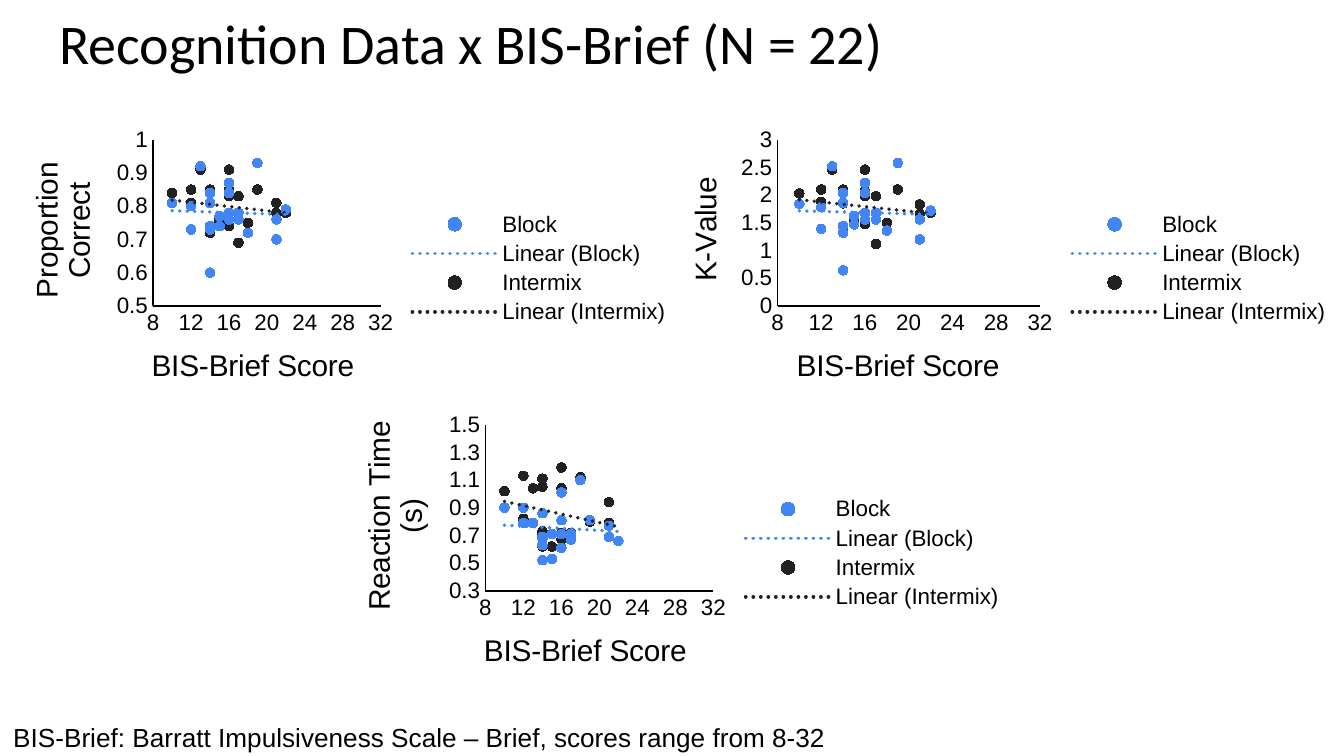
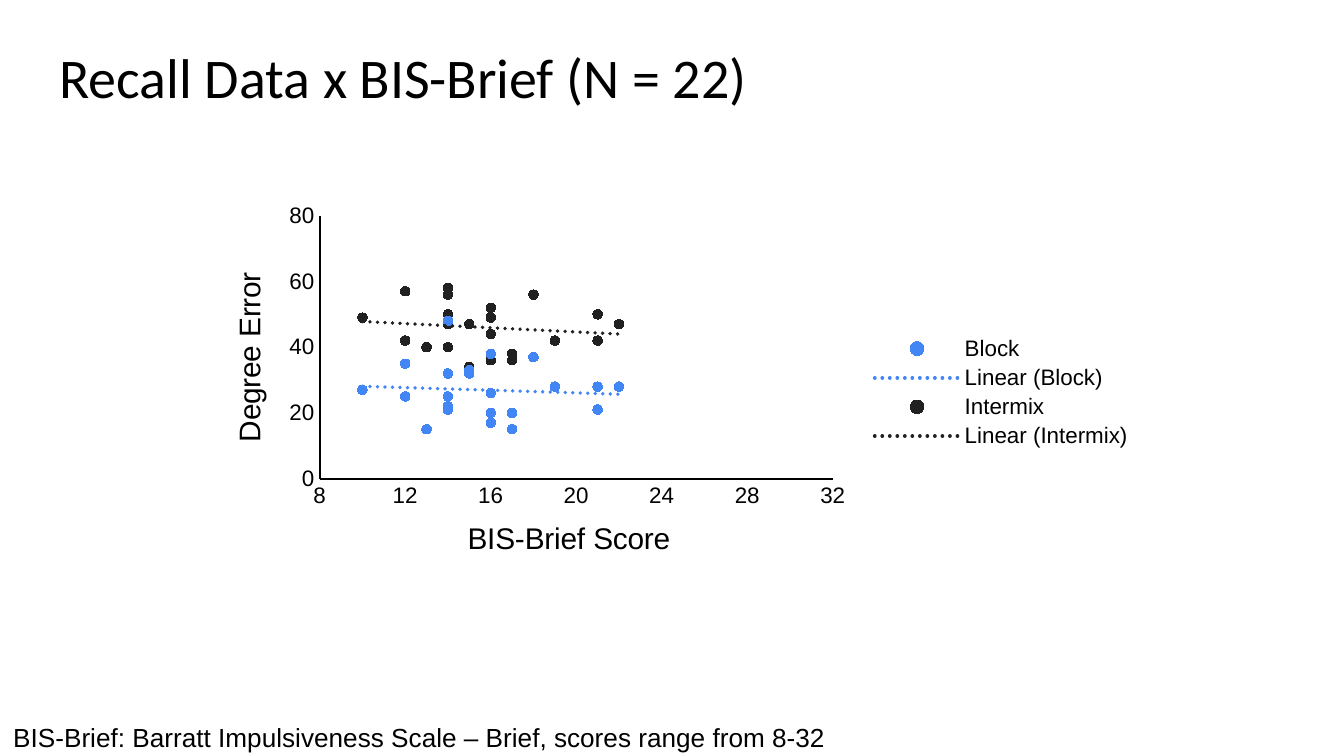
from lxml.etree import SubElement
from pptx import Presentation
from pptx.chart.data import XyChartData
from pptx.dml.color import RGBColor
from pptx.enum.chart import XL_CHART_TYPE, XL_LEGEND_POSITION, XL_MARKER_STYLE, XL_TICK_MARK
from pptx.enum.text import MSO_ANCHOR, MSO_AUTO_SIZE, PP_ALIGN
from pptx.oxml import parse_xml
from pptx.oxml.ns import nsdecls, qn
from pptx.util import Inches, Pt

COLORS = {"text": "000000", "Block": "4285F4", "Intermix": "212121"}
BODY_FONT = "Arial"
TITLE_FONT = "Calibri"
NOTE = "BIS-Brief: Barratt Impulsiveness Scale – Brief, scores range from 8-32"
SCORES = [16, 21, 22, 21, 16, 14, 18, 10, 19, 15, 12,
          17, 16, 14, 15, 14, 14, 14, 12, 13, 16, 17]

PROPORTION = {
    "Block": [0.84, 0.7, 0.79, 0.76, 0.87, 0.74, 0.72, 0.81, 0.93, 0.77, 0.8,
              0.78, 0.78, 0.73, 0.74, 0.81, 0.84, 0.6, 0.73, 0.92, 0.76, 0.76],
    "Intermix": [0.85, 0.78, 0.78, 0.81, 0.91, 0.74, 0.75, 0.84, 0.85, 0.75, 0.85,
                 0.83, 0.83, 0.74, 0.76, 0.85, 0.81, 0.72, 0.81, 0.91, 0.74, 0.69],
}
K_VALUE = {
    "Block": [2.04, 1.2, 1.72, 1.56, 2.22, 1.44, 1.36, 1.84, 2.58, 1.62, 1.78,
              1.68, 1.68, 1.32, 1.47, 1.86, 2.04, 0.64, 1.39, 2.52, 1.56, 1.56],
    "Intermix": [2.07, 1.66, 1.68, 1.83, 2.46, 1.44, 1.5, 2.03, 2.1, 1.5, 2.1,
                 1.98, 1.98, 1.44, 1.56, 2.1, 1.85, 1.33, 1.88, 2.46, 1.48, 1.12],
}
REACTION = {
    "Block": [1.01, 0.77, 0.66, 0.69, 0.61, 0.69, 1.1, 0.9, 0.81, 0.53, 0.79,
              0.71, 0.71, 0.86, 0.71, 0.63, 0.52, 0.68, 0.9, 0.79, 0.81, 0.67],
    "Intermix": [1.19, 0.94, 0.66, 0.79, 0.72, 0.71, 1.12, 1.02, 0.8, 0.62, 0.82,
                 0.67, 0.67, 1.05, 0.71, 0.73, 0.62, 1.11, 1.13, 1.04, 1.04, 0.72],
}
DEGREE_ERROR = {
    "Block": [26, 21, 28, 28, 17, 22, 37, 27, 28, 33, 25,
              20, 20, 32, 32, 21, 25, 48, 35, 15, 38, 15],
    "Intermix": [49, 50, 47, 42, 44, 40, 56, 49, 42, 34, 42,
                 36, 36, 58, 47, 50, 47, 56, 57, 40, 52, 38],
}


def rgb(name):
    return RGBColor.from_string(COLORS[name])


def set_font(font, size, face=BODY_FONT):
    font.size = Pt(size)
    font.name = face
    font.bold = False
    font.color.rgb = rgb("text")


def add_run(p, text, size, face=BODY_FONT):
    r = p.add_run()
    r.text = text
    set_font(r.font, size, face)


def add_title(s, text, box):
    sp = s.shapes.title
    sp.left, sp.top, sp.width, sp.height = [Inches(v) for v in box]
    tf = sp.text_frame
    tf.word_wrap = True
    tf.auto_size = MSO_AUTO_SIZE.NONE
    tf.vertical_anchor = MSO_ANCHOR.TOP
    tf.margin_left = tf.margin_right = tf.margin_top = tf.margin_bottom = Inches(0.1)
    p = tf.paragraphs[0]
    p.alignment = PP_ALIGN.LEFT
    add_run(p, text, 30, TITLE_FONT)


def add_note(s, box):
    tf = s.shapes.add_textbox(*[Inches(v) for v in box]).text_frame
    tf.word_wrap = False
    tf.auto_size = MSO_AUTO_SIZE.SHAPE_TO_FIT_TEXT
    add_run(tf.paragraphs[0], NOTE, 14)


def set_layout(el, index, values, inner=False):
    old = el.find(qn("c:layout"))
    if old is not None:
        el.remove(old)
    layout = parse_xml(f"<c:layout {nsdecls('c')}><c:manualLayout/></c:layout>")
    settings = [("layoutTarget", "inner")] if inner else []
    settings += [("xMode", "edge"), ("yMode", "edge")]
    settings += zip("xywh", values)
    for tag, value in settings:
        SubElement(layout[0], qn(f"c:{tag}")).set("val", str(value))
    el.insert(index, layout)


def style_axis(axis, title, scale, title_at):
    axis.minimum_scale, axis.maximum_scale, axis.major_unit = scale
    axis.has_major_gridlines = False
    axis.major_tick_mark = axis.minor_tick_mark = XL_TICK_MARK.NONE
    set_font(axis.tick_labels.font, 12)
    axis.tick_labels.number_format = "General"
    axis.tick_labels.number_format_is_linked = False
    axis.format.line.color.rgb = rgb("text")
    axis.format.line.width = Pt(1)
    add_run(axis.axis_title.text_frame.paragraphs[0], title, 16)
    set_layout(axis.axis_title._element, 1, title_at)


def add_trend(series):
    trend = parse_xml(
        f'<c:trendline {nsdecls("c", "a")}><c:spPr><a:ln w="{Pt(2)}" cap="rnd"><a:solidFill>'
        f'<a:srgbClr val="{COLORS[series.name]}"/></a:solidFill>'
        '<a:prstDash val="sysDot"/></a:ln></c:spPr><c:trendlineType val="linear"/>'
        '<c:dispRSqr val="0"/><c:dispEq val="0"/></c:trendline>')
    series._element.find(qn("c:xVal")).addprevious(trend)


def style_series(series):
    series.format.line.fill.background()
    marker = series.marker
    marker.style = XL_MARKER_STYLE.CIRCLE
    marker.size = 5
    marker.format.fill.solid()
    marker.format.fill.fore_color.rgb = rgb(series.name)
    marker.format.line.color.rgb = rgb(series.name)
    add_trend(series)


def add_legend(chart):
    chart.has_legend = True
    chart.legend.position = XL_LEGEND_POSITION.RIGHT
    chart.legend.include_in_layout = False
    set_font(chart.legend.font, 12)
    pos = chart.legend._element.find(qn("c:legendPos"))
    for idx in (3, 2):
        pos.addnext(parse_xml(
            f'<c:legendEntry {nsdecls("c")}><c:idx val="{idx}"/>'
            '<c:delete val="1"/></c:legendEntry>'))


def add_scatter(s, box, y_title, y_scale, data, plot, x_at, y_at):
    cd = XyChartData()
    for name, values in data.items():
        series = cd.add_series(name)
        for score, value in zip(SCORES, values):
            series.add_data_point(score, value)
    chart = s.shapes.add_chart(
        XL_CHART_TYPE.XY_SCATTER, *[Inches(v) for v in box], cd).chart
    chart.has_title = False
    set_font(chart.font, 10)
    chart.plots[0].vary_by_categories = False
    for series in chart.plots[0].series:
        series.smooth = False
        style_series(series)
    style_axis(chart.category_axis, "BIS-Brief Score", (8, 32, 4), x_at)
    style_axis(chart.value_axis, y_title, y_scale, y_at)
    body = chart.value_axis.axis_title._element.find(".//" + qn("a:bodyPr"))
    body.set("rot", "-5400000")
    body.set("vert", "horz")
    add_legend(chart)
    chart_el = chart._chartSpace.find(qn("c:chart"))
    set_layout(chart_el.find(qn("c:plotArea")), 0, plot, inner=True)
    chart_el.addnext(parse_xml(
        f'<c:spPr {nsdecls("c", "a")}><a:noFill/><a:ln><a:noFill/></a:ln></c:spPr>'))


def add_data_slide(prs, title, title_top, charts):
    s = prs.slides.add_slide(prs.slide_layouts[5])
    add_note(s, (0, 5.32, 6.31, 0.34))
    add_title(s, title, (0.34, title_top, 9.32, 0.63))
    for chart in charts:
        add_scatter(s, *chart)


def main():
    prs = Presentation()
    prs.slide_width = Inches(10)
    prs.slide_height = prs.slide_width * 9 // 16
    w, h = 5.14, 2.17
    narrow_plot, wide_plot = (0.23, 0.06, 0.33, 0.57), (0.18, 0.06, 0.38, 0.57)
    add_data_slide(prs, "Recognition Data x BIS-Brief (N = 22)", -0.04, [
        ((-0.04, 0.91, 5.13, h), "Proportion Correct", (0.5, 1, 0.1), PROPORTION,
         narrow_plot, (0.22, 0.75), (0.04, 0.12)),
        ((4.86, 0.91, w, h), "K-Value", (0, 3, 0.5), K_VALUE,
         wide_plot, (0.2, 0.75), (0.04, 0.17)),
        ((2.43, 3.03, w, h), "Reaction Time (s)", (0.3, 1.5, 0.2), REACTION,
         narrow_plot, (0.22, 0.75), (0.04, 0.03)),
    ])
    add_data_slide(prs, "Recall Data x BIS-Brief (N = 22)", 0.22, [
        ((1.46, 1.46, 7.07, 2.92), "Degree Error", (0, 80, 20), DEGREE_ERROR,
         (0.13, 0.05, 0.54, 0.67), (0.28, 0.81), (0.03, 0.18)),
    ])
    prs.save("out.pptx")


if __name__ == "__main__":
    main()
